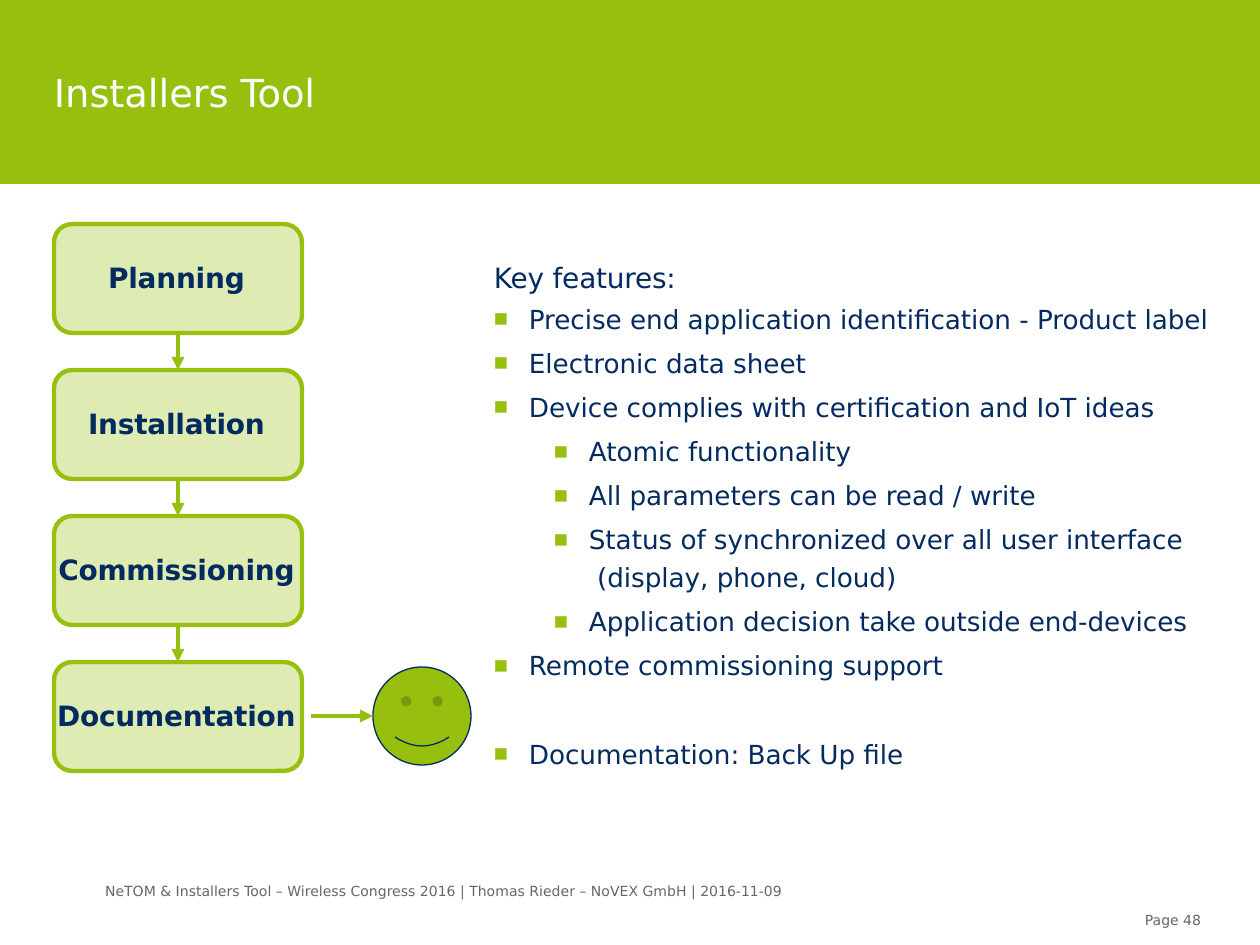
"""Build the Installers Tool slide: a four-step flow beside a list of key features."""
from lxml.etree import SubElement
from pptx import Presentation
from pptx.dml.color import RGBColor
from pptx.enum.shapes import MSO_CONNECTOR, MSO_SHAPE as SHAPE
from pptx.enum.text import MSO_ANCHOR as ANCHOR, PP_ALIGN as ALIGN
from pptx.oxml.ns import qn
from pptx.util import Pt

PX = 914400 / 126
GREEN = RGBColor(0x96, 0xC0, 0x0D)
PALE = RGBColor(0xDE, 0xEB, 0xB3)
NAVY = RGBColor(0x03, 0x2B, 0x5F)
GREY = RGBColor(0x66, 0x66, 0x66)
WHITE = RGBColor(0xFF, 0xFF, 0xFF)
FONT = "DejaVu Sans"
BULLET_FONT = "Arial"

STEPS = ["Planning", "Installation", "Commissioning", "Documentation"]
STEP_X, STEP_Y, STEP_W, STEP_H, STEP_PITCH = 54, 224, 248, 109, 146
FEATURES = [
    (0, "Precise end application identification - Product label"),
    (0, "Electronic data sheet"),
    (0, "Device complies with certification and IoT ideas"),
    (1, "Atomic functionality"),
    (1, "All parameters can be read / write"),
    (1, "Status of synchronized over all user interface\v (display, phone, cloud)"),
    (1, "Application decision take outside end-devices"),
    (0, "Remote commissioning support"),
]
INDENTS = [37, 97]
HANGING = 35


def emu(*lengths):
    """Turn px lengths into EMU."""
    return [round(n * PX) for n in lengths]


def format_text(p, size, color, bold=False, spacing=-3):
    """Format all runs and line breaks of a paragraph."""
    for r in p.runs:
        r.font.name, r.font.size, r.font.bold = FONT, Pt(size), bold
        r.font.color.rgb = color
        r.font._element.set("spc", str(spacing))
    for br in p._p.findall(qn("a:br")):
        SubElement(br, qn("a:rPr")).set("sz", str(size * 100))


def clear_margins(tf):
    """Remove the insets of a text frame."""
    tf.margin_left = tf.margin_right = tf.margin_top = tf.margin_bottom = 0


def add_text(s, box, lines, wrap=False):
    """Add a text box with one paragraph per line and return its paragraphs."""
    tf = s.shapes.add_textbox(*emu(*box)).text_frame
    clear_margins(tf)
    tf.word_wrap = wrap
    tf.text = "\n".join(lines)
    return tf.paragraphs


def add_label(s, box, text, size, color, spacing=-3):
    """Add a single line of text."""
    format_text(add_text(s, box, [text])[0], size, color, spacing=spacing)


def add_bullets(s, box, items):
    """Add a list with green square bullets on two levels."""
    lines = [text for _, text in items]
    for (level, text), p in zip(items, add_text(s, box, lines, wrap=True)):
        wrapped = "\v" in text
        p.space_before = Pt(3.6 if wrapped else 7.2)
        if wrapped:
            p.line_spacing = 1.2
        format_text(p, 15, NAVY)
        pPr = p._p.get_or_add_pPr()
        left, hanging = emu(INDENTS[level], HANGING)
        pPr.set("marL", str(left))
        pPr.set("indent", str(-hanging))
        color = SubElement(pPr, qn("a:buClr"))
        SubElement(color, qn("a:srgbClr")).set("val", str(GREEN))
        SubElement(pPr, qn("a:buSzPct")).set("val", "90000")
        SubElement(pPr, qn("a:buFont")).set("typeface", BULLET_FONT)
        SubElement(pPr, qn("a:buChar")).set("char", "■")


def outline(sp, color, width):
    """Set the line of a shape."""
    sp.line.color.rgb = color
    sp.line.width = Pt(width)


def add_shape(s, kind, box, fill=None):
    """Add a flat preset shape without a line."""
    sp = s.shapes.add_shape(kind, *emu(*box))
    sp.shadow.inherit = False
    sp.line.fill.background()
    if fill is None:
        sp.fill.background()
    else:
        sp.fill.solid()
        sp.fill.fore_color.rgb = fill
    return sp


def add_step(s, y, text):
    """Add one rounded box of the flow."""
    sp = add_shape(s, SHAPE.ROUNDED_RECTANGLE, (STEP_X, y, STEP_W, STEP_H), PALE)
    outline(sp, GREEN, 2.5)
    tf = sp.text_frame
    clear_margins(tf)
    tf.margin_right, tf.margin_bottom = emu(3, 2)
    tf.word_wrap = False
    tf.vertical_anchor = ANCHOR.MIDDLE
    tf.text = text
    tf.paragraphs[0].alignment = ALIGN.CENTER
    format_text(tf.paragraphs[0], 16, NAVY, bold=True, spacing=-10)


def add_arrow(s, x1, y1, x2, y2):
    """Add a green arrow."""
    c = s.shapes.add_connector(MSO_CONNECTOR.STRAIGHT, *emu(x1, y1, x2, y2))
    outline(c, GREEN, 2.5)
    SubElement(c.line._get_or_add_ln(), qn("a:tailEnd")).set("type", "triangle")
    SubElement(c._element.spPr, qn("a:effectLst"))


def add_smiley(s, x, y, size):
    """Add a smiley with plain eyes, an outlined face and a curved mouth."""
    box = (x, y, size, size)
    add_shape(s, SHAPE.SMILEY_FACE, box, GREEN)
    outline(add_shape(s, SHAPE.OVAL, box), NAVY, 0.75)
    half, depth, steps = 27, 9, 10
    curve = [2 * i / steps - 1 for i in range(steps + 1)]
    points = [emu(x + size / 2 + half * t, y + 70 + depth * (1 - t * t)) for t in curve]
    builder = s.shapes.build_freeform(*points[0])
    builder.add_line_segments(points[1:], close=False)
    mouth = builder.convert_to_shape()
    mouth.shadow.inherit = False
    mouth.fill.background()
    outline(mouth, NAVY, 0.75)


def add_flow(s):
    """Add the steps, the arrows between them and the smiley at the end."""
    middle = STEP_X + STEP_W // 2
    for i, text in enumerate(STEPS):
        y = STEP_Y + i * STEP_PITCH
        add_step(s, y, text)
        if i:
            add_arrow(s, middle, y - STEP_PITCH + STEP_H, middle, y)
    add_smiley(s, 373, 667, 98)
    add_arrow(s, 311, 716, 373, 716)


def main():
    """Build and save the slide."""
    prs = Presentation()
    prs.slide_width, prs.slide_height = emu(1260, 945)
    s = prs.slides.add_slide(prs.slide_layouts[6])
    add_shape(s, SHAPE.RECTANGLE, (0, 0, 1260, 184), GREEN)
    add_label(s, (54, 69, 277, 48), "Installers Tool", 22, WHITE)
    add_flow(s)
    add_label(s, (494, 261, 193, 36), "Key features:", 16, NAVY, spacing=-10)
    add_bullets(s, (492, 303, 721, 380), FEATURES)
    add_bullets(s, (492, 738, 416, 34), [(0, "Documentation: Back Up file")])
    footer = "NeTOM & Installers Tool – Wireless Congress 2016 | Thomas Rieder – NoVEX GmbH | 2016-11-09"
    add_label(s, (105, 883, 738, 20), footer, 8, GREY, spacing=0)
    add_label(s, (1145, 911, 60, 20), "Page 48", 8, GREY)
    prs.save("out.pptx")


if __name__ == "__main__":
    main()
